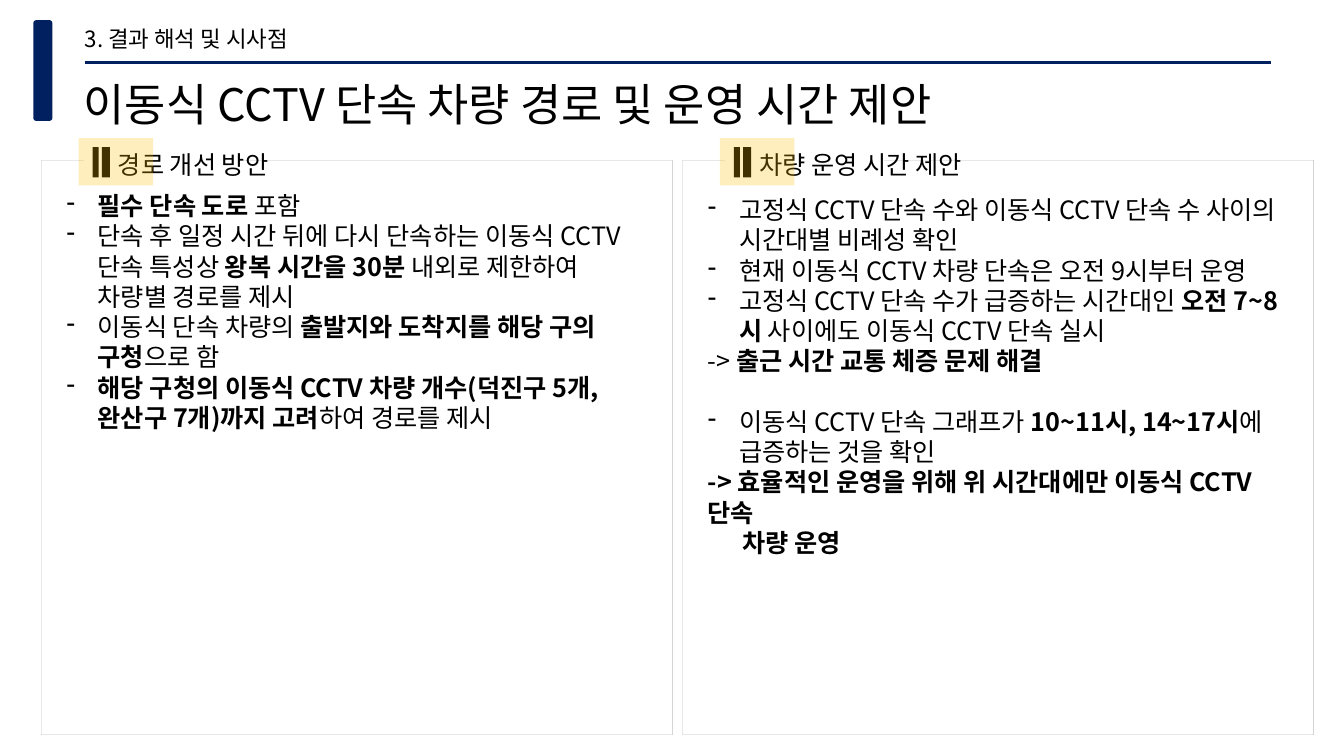
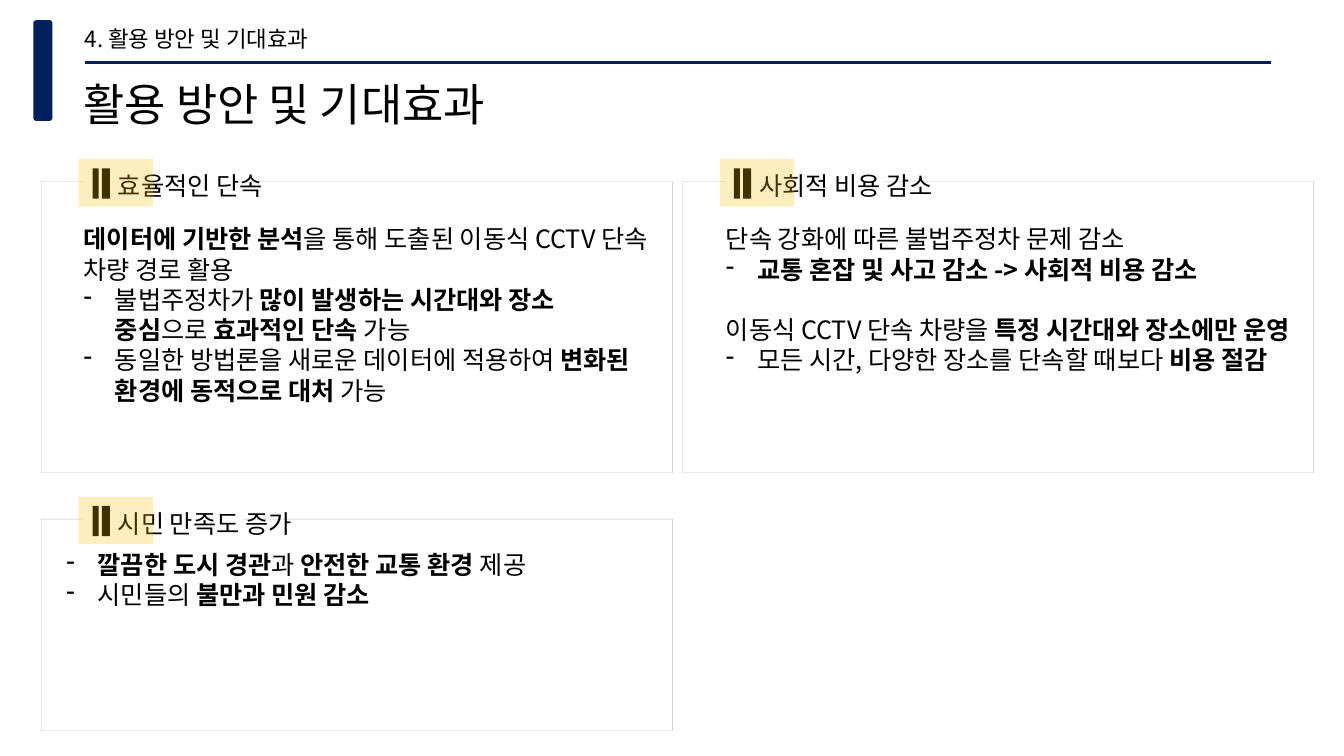
from dataclasses import dataclass

from pptx import Presentation
from pptx.dml.color import RGBColor
from pptx.enum.shapes import MSO_CONNECTOR as Connector, MSO_SHAPE as Shape
from pptx.enum.text import MSO_ANCHOR as Anchor, PP_ALIGN as Align
from pptx.oxml.ns import qn
from pptx.oxml.xmlchemy import OxmlElement
from pptx.util import Inches, Pt


@dataclass(frozen=True)
class Theme:
    font: str = "Noto Sans CJK KR"
    navy: RGBColor = RGBColor(0x00, 0x20, 0x60)
    black: RGBColor = RGBColor(0x00, 0x00, 0x00)
    white: RGBColor = RGBColor(0xFF, 0xFF, 0xFF)
    gray: RGBColor = RGBColor(0x59, 0x59, 0x59)
    amber: RGBColor = RGBColor(0xFF, 0xC0, 0x00)
    section_size: int = 16
    title_size: int = 32
    text_size: int = 18
    section_leading: float = 20.4
    title_leading: float = 43.5
    heading_leading: float = 24
    body_leading: float = 21.6


@dataclass(frozen=True)
class Item:
    text: str
    bullet: bool = False
    indent: float = 0
    gap: bool = False


@dataclass(frozen=True)
class Panel:
    heading: str
    left: float
    top: float
    height: float
    inset: float
    drop: float
    body_width: float
    items: tuple


THEME = Theme()
COLUMNS = (0.41, 6.77)
PANEL_WIDTH = 6.26
HANGING = 0.31


def apply_format(target, values):
    for name, value in values.items():
        setattr(target, name, value)


def set_alpha(parent, percent):
    color = parent.find(qn("a:solidFill")).find(qn("a:srgbClr"))
    alpha = OxmlElement("a:alpha")
    alpha.set("val", str(percent * 1000))
    color.append(alpha)


def add_block(shapes, left, top, width, height, fill=None, alpha=None, kind=Shape.RECTANGLE):
    block = shapes.add_shape(kind, Inches(left), Inches(top), Inches(width), Inches(height))
    block.shadow.inherit = False
    block.line.fill.background()
    if fill is None:
        block.fill.background()
    else:
        block.fill.solid()
        block.fill.fore_color.rgb = fill
    if alpha:
        set_alpha(block._element.spPr, alpha)
    return block


def add_bullet(para):
    properties = para._p.get_or_add_pPr()
    properties.set("marL", str(Inches(HANGING)))
    properties.set("indent", str(-Inches(HANGING)))
    bullet = OxmlElement("a:buChar")
    bullet.set("char", "-")
    properties.append(bullet)


def add_spans(para, text, size):
    for index, part in enumerate(text.split("*")):
        if not part:
            continue
        span = para.add_run()
        span.text = part
        apply_format(span.font, {"name": THEME.font, "size": Pt(size), "bold": index % 2 == 1})
        span.font.color.rgb = THEME.black
        east_asian = OxmlElement("a:ea")
        east_asian.set("typeface", THEME.font)
        span.font._rPr.find(qn("a:latin")).addnext(east_asian)


def add_text(shapes, left, top, width, height, items, size, leading, align=Align.LEFT):
    box = shapes.add_textbox(Inches(left), Inches(top), Inches(width), Inches(height))
    frame = box.text_frame
    apply_format(frame, {
        "word_wrap": True,
        "vertical_anchor": Anchor.TOP,
        "margin_left": 0,
        "margin_top": 0,
        "margin_right": 0,
        "margin_bottom": 0,
    })
    for index, item in enumerate(items):
        para = frame.add_paragraph() if index else frame.paragraphs[0]
        if item.bullet:
            add_bullet(para)
        elif item.indent:
            para._p.get_or_add_pPr().set("marL", str(Inches(item.indent)))
        apply_format(para, {"alignment": align, "line_spacing": Pt(leading)})
        if item.gap:
            para.space_before = Pt(leading)
        add_spans(para, item.text, size)


def add_header(page, section, title):
    marker = add_block(page.shapes, 0.33, 0.2, 0.19, 1, THEME.navy, kind=Shape.ROUNDED_RECTANGLE)
    marker.adjustments[0] = 0.16
    add_text(page.shapes, 0.84, 0.23, 3.7, 0.27, [Item(section)],
             THEME.section_size, THEME.section_leading)
    add_text(page.shapes, 0.83, 0.69, 11.89, 0.56, [Item(title)],
             THEME.title_size, THEME.title_leading, Align.JUSTIFY)
    rule = page.shapes.add_connector(Connector.STRAIGHT, Inches(0.84), Inches(0.62),
                                     Inches(12.61), Inches(0.62))
    rule.line.color.rgb = THEME.navy
    rule.line.width = Pt(2.25)
    rule._element.spPr.append(OxmlElement("a:effectLst"))


def add_panel(page, panel):
    left, top = panel.left, panel.top
    outline = add_block(page.shapes, left, top, PANEL_WIDTH, panel.height)
    outline.line.color.rgb = THEME.gray
    outline.line.width = Pt(0.25)
    set_alpha(outline._element.spPr.find(qn("a:ln")), 39)

    heading = page.shapes.add_group_shape().shapes
    add_block(heading, left + 0.42, top - 0.19, 1.58, 0.44, THEME.white)
    for offset, width in ((0.51, 0.06), (0.6, 0.08)):
        add_block(heading, left + offset, top - 0.13, width, 0.3, THEME.black)
    add_text(heading, left + 0.76, top - 0.14, 4.97, 0.31, [Item(panel.heading)],
             THEME.text_size, THEME.heading_leading, Align.JUSTIFY)

    add_block(page.shapes, left + 0.37, top - 0.22, 0.74, 0.47, THEME.amber, 26)
    add_text(page.shapes, left + panel.inset, top + panel.drop, panel.body_width,
             panel.height - panel.drop - 0.2, panel.items,
             THEME.text_size, THEME.body_leading)


def add_page(deck, section, title, panels):
    page = deck.slides.add_slide(deck.slide_layouts[6])
    add_header(page, section, title)
    for panel in panels:
        add_panel(page, panel)


def proposal_panels():
    routes = (
        Item("*필수 단속 도로 *포함", bullet=True),
        Item("단속 후 일정 시간 뒤에 다시 단속하는 이동식 CCTV 단속 특성상 "
             "*왕복 시간을 30분 *내외로 제한하여 차량별 경로를 제시", bullet=True),
        Item("이동식 단속 차량의 *출발지와 도착지를 해당 구의 구청*으로 함", bullet=True),
        Item("*해당 구청의 이동식 CCTV 차량 개수(덕진구 5개, 완산구 7개)까지 고려*"
             "하여 경로를 제시", bullet=True),
    )
    hours = (
        Item("고정식 CCTV 단속 수와 이동식 CCTV 단속 수 사이의 시간대별 비례성 확인", bullet=True),
        Item("현재 이동식 CCTV 차량 단속은 오전 9시부터 운영", bullet=True),
        Item("고정식 CCTV 단속 수가 급증하는 시간대인 *오전 7~8시 *"
             "사이에도 이동식 CCTV 단속 실시", bullet=True),
        Item("-> *출근 시간 교통 체증 문제 해결*"),
        Item("이동식 CCTV 단속 그래프가 *10~11시, 14~17시*에 급증하는 것을 확인",
             bullet=True, gap=True),
        Item("*-> 효율적인 운영을 위해 위 시간대에만 이동식 CCTV 단속*"),
        Item("*차량 운영*", indent=0.34),
    )
    return (
        Panel("경로 개선 방안", COLUMNS[0], 1.59, 5.7, 0.25, 0.3, 5.59, routes),
        Panel("차량 운영 시간 제안", COLUMNS[1], 1.59, 5.7, 0.25, 0.34, 5.7, hours),
    )


def effect_panels():
    enforcement = (
        Item("*데이터에 기반한 분석*을 통해 도출된 이동식 CCTV 단속 차량 경로 활용"),
        Item("불법주정차가 *많이 발생하는 시간대와 장소 중심*으로* 효과적인 단속 *가능", bullet=True),
        Item("동일한 방법론을 새로운 데이터에 적용하여 *변화된 환경에 동적으로 대처* 가능",
             bullet=True),
    )
    costs = (
        Item("단속 강화에 따른 불법주정차 문제 감소"),
        Item("*교통 혼잡 및 사고 감소 -> 사회적 비용 감소*", bullet=True),
        Item("이동식 CCTV 단속 차량을 *특정 시간대와 장소에만 운영*", gap=True),
        Item("모든 시간, 다양한 장소를 단속할 때보다 *비용 절감*", bullet=True),
    )
    satisfaction = (
        Item("*깔끔한 도시 경관*과 *안전한 교통 환경 *제공", bullet=True),
        Item("시민들의 *불만과 민원 감소*", bullet=True),
    )
    return (
        Panel("효율적인 단속", COLUMNS[0], 1.8, 2.89, 0.42, 0.42, 5.6, enforcement),
        Panel("사회적 비용 감소", COLUMNS[1], 1.8, 2.89, 0.43, 0.42, 5.76, costs),
        Panel("시민 만족도 증가", COLUMNS[0], 5.15, 2.1, 0.25, 0.3, 5.93, satisfaction),
    )


def main():
    deck = Presentation()
    apply_format(deck, {"slide_width": Inches(13.33), "slide_height": Inches(7.5)})
    add_page(deck, "3. 결과 해석 및 시사점",
             "이동식 CCTV 단속 차량 경로 및 운영 시간 제안", proposal_panels())
    add_page(deck, "4. 활용 방안 및 기대효과", "활용 방안 및 기대효과", effect_panels())
    deck.save("out.pptx")


if __name__ == "__main__":
    main()
